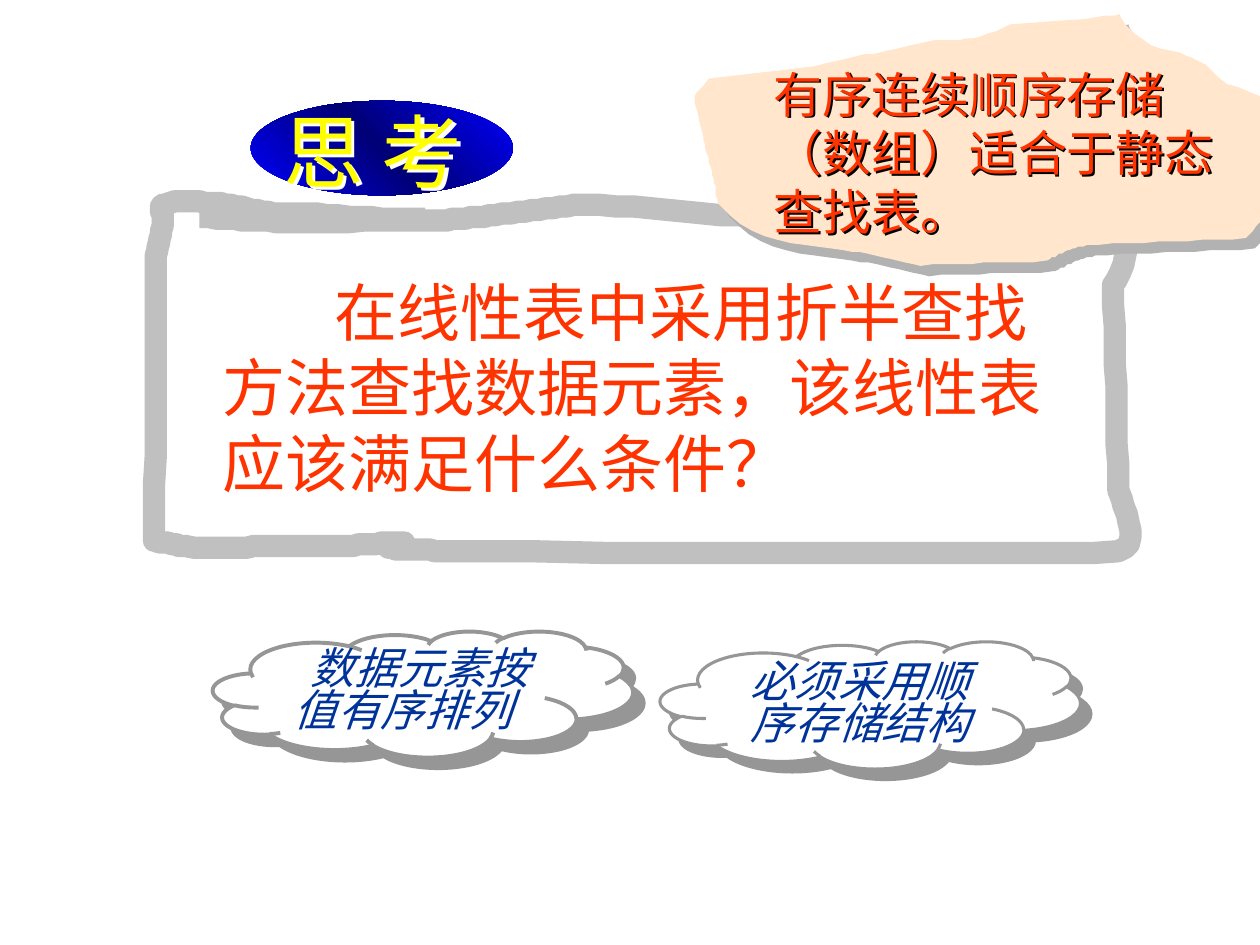
"""Build the slide on the conditions for binary search."""
from dataclasses import dataclass
from lxml.etree import SubElement as Sub
from pptx import Presentation
from pptx.dml.color import RGBColor as Rgb
from pptx.enum.shapes import MSO_SHAPE as Kind
from pptx.enum.text import MSO_ANCHOR as Anchor, MSO_AUTO_SIZE as Fit, PP_ALIGN as Align
from pptx.oxml.ns import qn
from pptx.util import Pt


@dataclass(frozen=True)
class Theme:
    red: str = "FF3300"
    navy: str = "003399"
    yellow: str = "FFFF00"
    white: str = "FFFFFF"
    black: str = "000000"
    peach: str = "FFE6CD"
    frame: str = "C0C0C0"
    cloud: str = "969696"
    shade: str = "B2B2B2"
    glow: tuple = ((0, "0000FF"), (50, "000076"), (100, "0000FF"))
    sans: str = "Noto Sans CJK SC"
    note: str = "Noto Sans CJK JP"
    head: int = 46
    body: int = 36
    tip: int = 28
    small: int = 25


T = Theme()

HEAD = "思 考"
ASK = ["在线性表中采用折半查找", "方法查找数据元素，该线性表", "应该满足什么条件？"]
TIP = ["有序连续顺序存储（数组）适合于静态查找表。"]
CLOUDS = [
    dict(box=(121.7, 360.7, 240, 72), line=2.25, text=["数据元素按", "值有序排列"],
         area=(160.6, 368.6, 198, 55.4), indent=10),
    dict(box=(377.3, 366.5, 240, 72.7), line=1.75, text=["必须采用顺", "序存储结构"],
         area=(421.9, 375.8, 176.4, 55.4), indent=0),
]
FRAME = [
    (114, 124),
    (131, 125), (146, 126), (163, 127), (193, 126), (223, 127), (253, 126),
    (261, 125), (274, 124), (274, 124), (287, 122), (271, 124), (292, 122),
    (305, 120), (318, 118), (332, 117), (366, 117), (398, 122), (432, 124),
    (482, 130), (443, 126), (553, 125), (572, 123), (593, 122), (611, 117),
    (626, 119), (628, 120), (645, 119), (644, 129), (645, 153), (636, 163),
    (637, 201), (638, 238), (639, 276), (639, 289), (655, 311), (639, 315),
    (624, 318), (284, 315), (253, 315), (245, 314), (237, 314), (228, 314),
    (226, 313), (223, 314), (222, 312), (220, 311), (232, 310), (231, 310),
    (220, 310), (210, 311), (198, 312), (181, 312), (163, 312), (145, 312),
    (131, 314), (117, 313), (102, 312), (97, 310), (93, 310), (88, 309),
    (89, 256), (89, 202), (89, 150), (89, 143), (92, 135), (93, 127),
    (94, 124), (90, 118), (94, 117), (103, 113), (114, 116), (123, 116),
    (134, 117), (143, 120), (153, 121), (166, 124), (154, 121), (181, 122),
    (202, 124), (222, 125), (243, 125),
]
SCRAP = [
    (534, 23),
    (518, 26), (505, 30), (490, 32), (462, 40), (433, 42), (405, 45),
    (394, 59), (396, 52), (402, 78), (403, 86), (406, 94), (408, 103),
    (410, 108), (408, 114), (412, 118), (428, 138), (459, 140), (482, 143),
    (498, 145), (511, 149), (526, 152), (550, 150), (574, 151), (597, 149),
    (602, 148), (606, 144), (611, 143), (616, 141), (622, 140), (628, 140),
    (656, 138), (684, 138), (712, 136), (714, 134), (726, 120), (729, 115),
    (737, 101), (729, 97), (745, 87), (739, 65), (726, 55), (701, 48),
    (685, 32), (679, 32), (658, 26), (616, 0), (678, 9), (577, 14),
    (563, 22), (550, 23), (534, 23),
]


def trace(knots, steps=10):
    start, spots = knots[0], []
    for i in range(1, len(knots), 3):
        curve = (start, *knots[i:i + 3])
        for n in range(1, steps + 1):
            t = n / steps
            mix = ((1 - t) ** 3, 3 * t * (1 - t) ** 2, 3 * t * t * (1 - t), t ** 3)
            spots.append(tuple(sum(m * p[k] for m, p in zip(mix, curve)) for k in (0, 1)))
        start = curve[3]
    return spots


def draw(shapes, knots, close):
    pen = shapes.build_freeform(*knots[0], scale=Pt(1))
    pen.add_line_segments(trace(knots), close=close)
    return pen.convert_to_shape()


def paint(shape, fill=None, line=None, width=0):
    shape.shadow.inherit = False
    if fill:
        shape.fill.solid()
        shape.fill.fore_color.rgb = Rgb.from_string(fill)
    else:
        shape.fill.background()
    if line:
        shape.line.color.rgb = Rgb.from_string(line)
        shape.line.width = Pt(width)
    else:
        shape.line.fill.background()


def cast(shape, color, dist, angle=45):
    shape.shadow.inherit = False
    effects = shape.element.spPr.find(qn("a:effectLst"))
    drop = Sub(effects, qn("a:outerShdw"), dist=str(Pt(dist)), dir=str(angle * 60000),
               algn="ctr", rotWithShape="0")
    Sub(drop, qn("a:srgbClr"), val=color)


def blend(shape, stops, angle):
    shape.fill.gradient()
    grad = shape.element.spPr.find(qn("a:gradFill"))
    for part in list(grad):
        grad.remove(part)
    row = Sub(grad, qn("a:gsLst"))
    for spot, color in stops:
        Sub(Sub(row, qn("a:gs"), pos=str(spot * 1000)), qn("a:srgbClr"), val=color)
    Sub(grad, qn("a:lin"), ang=str(angle * 60000), scaled="1")


def write(shape, box, lines, size, color, face=T.sans, italic=False, space=1.0, indent=0):
    shape.left, shape.top, shape.width, shape.height = map(Pt, box)
    frame = shape.text_frame
    frame.word_wrap, frame.auto_size = True, Fit.NONE
    frame.vertical_anchor = Anchor.TOP
    frame.margin_left = frame.margin_right = Pt(7.2)
    frame.margin_top = frame.margin_bottom = Pt(3.6)
    for n, line in enumerate(lines):
        para = frame.add_paragraph() if n else frame.paragraphs[0]
        para.alignment, para.line_spacing = Align.LEFT, space
        para.space_before = para.space_after = Pt(0)
        if indent and not n:
            para._p.get_or_add_pPr().set("indent", str(Pt(indent)))
        run = para.add_run()
        run.text = line
        font = run.font
        font.size, font.bold, font.italic, font.name = Pt(size), False, italic, face
        font.color.rgb = Rgb.from_string(color)
        Sub(run._r.rPr, qn("a:ea"), typeface=face)


def label(shapes, *args, **kw):
    box = shapes.add_textbox(0, 0, 0, 0)
    write(box, *args, **kw)
    return box


def main():
    deck = Presentation()
    deck.slide_width, deck.slide_height = Pt(720), Pt(540)
    shapes = deck.slides.add_slide(deck.slide_layouts[5]).shapes

    paint(draw(shapes, FRAME, False), line=T.frame, width=12.75)
    label(shapes, (120.2, 152.6, 558, 136.8), ASK, T.body, T.red, indent=64)

    for item in CLOUDS:
        cloud = shapes.add_shape(Kind.CLOUD, *map(Pt, item["box"]))
        paint(cloud, T.white, T.cloud, item["line"])
        cast(cloud, T.cloud, 8.5)
        label(shapes, item["area"], item["text"], T.small, T.navy,
              italic=True, space=0.8, indent=item["indent"])

    oval = shapes.add_shape(Kind.OVAL, *map(Pt, (143.3, 57.6, 149.8, 54)))
    paint(oval)
    blend(oval, T.glow, 315)
    cast(oval, T.white, 3.6, 34)
    title = shapes.title
    write(title, (154.8, 54.7, 159.8, 62.6), [HEAD], T.head, T.yellow)
    cast(title, T.white, 2.5)
    shapes.element.append(title.element)

    scrap = draw(shapes, SCRAP, True)
    paint(scrap, T.peach)
    cast(scrap, T.shade, 7.8, 50)
    tip = label(shapes, (434.9, 33.1, 275.8, 109.4), TIP, T.tip, T.red, face=T.note)
    cast(tip, T.black, 1.5)
    deck.save("out.pptx")


if __name__ == "__main__":
    main()
